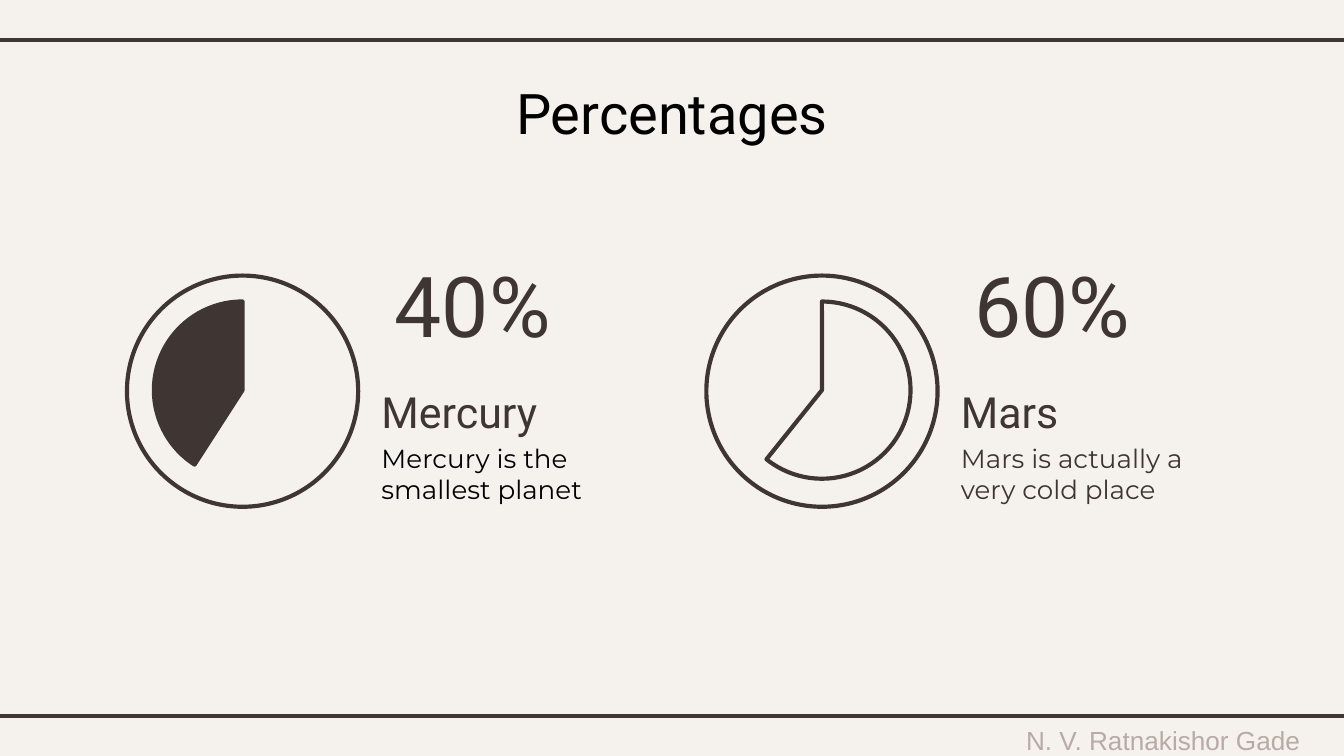
from pptx import Presentation
from pptx.dml.color import RGBColor
from pptx.enum.shapes import MSO_CONNECTOR, MSO_SHAPE
from pptx.enum.text import MSO_ANCHOR, MSO_AUTO_SIZE, PP_ALIGN
from pptx.oxml.ns import qn
from pptx.util import Cm, Pt
from lxml import etree

# Content
COLORS = {"paper": "F5F2EE", "ink": "3F3533", "black": "000000", "footer": "B8AAA7"}
TITLE = "Percentages"
FOOTER = "N. V. Ratnakishor Gade"
# Pie angles are in degrees, clockwise from the right
PLANETS = [
    {"name": "Mercury", "percent": "40%", "text": "Mercury is the smallest planet",
     "text_color": "black", "angles": (122.75, 270), "fill": "ink"},
    {"name": "Mars", "percent": "60%", "text": "Mars is actually a very cold place",
     "text_color": "ink", "angles": (270, 128.73), "fill": None},
]

# Layout in centimetres
WIDTH, HEIGHT = 25.4, 14.29
RULES = (0.76, 13.54)
FIRST_LEFT, PITCH = 2.4, 10.95
RING, PIE = 4.37, 3.35
RING_TOP, TEXT_OFFSET = 5.21, 4.81
INSET = 0.25
LINE_WIDTH = Pt(2.25)


def rgb(key):
    return RGBColor.from_string(COLORS[key])


def write(box, text, font, size, color, align=PP_ALIGN.LEFT,
          anchor=MSO_ANCHOR.MIDDLE, insets=(INSET,) * 4):
    frame = box.text_frame
    frame.text = text
    frame.word_wrap = True
    frame.auto_size = MSO_AUTO_SIZE.NONE
    frame.vertical_anchor = anchor
    (frame.margin_left, frame.margin_top,
     frame.margin_right, frame.margin_bottom) = map(Cm, insets)
    paragraph = frame.paragraphs[0]
    paragraph.alignment = align
    paragraph.font.name = font
    paragraph.font.size = Pt(size)
    paragraph.font.color.rgb = rgb(color)


def add_text(left, top, width, height, *args, **kwargs):
    box = slide.shapes.add_textbox(Cm(left), Cm(top), Cm(width), Cm(height))
    write(box, *args, **kwargs)


def add_round(kind, left, top, size, fill=None):
    round_shape = slide.shapes.add_shape(kind, Cm(left), Cm(top), Cm(size), Cm(size))
    round_shape.shadow.inherit = False
    round_shape.line.color.rgb = rgb("ink")
    round_shape.line.width = LINE_WIDTH
    if fill:
        round_shape.fill.solid()
        round_shape.fill.fore_color.rgb = rgb(fill)
    else:
        round_shape.fill.background()
    return round_shape


prs = Presentation()
prs.slide_width, prs.slide_height = Cm(WIDTH), Cm(HEIGHT)
slide = prs.slides.add_slide(prs.slide_layouts[5])
slide.background.fill.solid()
slide.background.fill.fore_color.rgb = rgb("paper")

# Footer and rules
add_text(18.57, 13.74, 6.83, 0.48, FOOTER, "Arial", 14, "footer",
         align=PP_ALIGN.CENTER)
for y in RULES:
    rule = slide.shapes.add_connector(
        MSO_CONNECTOR.STRAIGHT, Cm(-0.2), Cm(y), Cm(WIDTH + 0.2), Cm(y))
    rule.line.color.rgb = rgb("ink")
    rule.line.width = LINE_WIDTH
    etree.SubElement(rule._element.spPr, qn("a:effectLst"))

# Title
title = slide.shapes.title
title.left, title.top, title.width, title.height = Cm(1.98), Cm(1.24), Cm(21.44), Cm(1.6)
write(title, TITLE, "Roboto", 30, "black", PP_ALIGN.CENTER, MSO_ANCHOR.TOP)

# Planets: ring, pie and texts
for index, planet in enumerate(PLANETS):
    left = FIRST_LEFT + index * PITCH
    text_left = left + TEXT_OFFSET
    margin = (RING - PIE) / 2
    add_round(MSO_SHAPE.OVAL, left, RING_TOP, RING)
    pie = add_round(MSO_SHAPE.PIE, left + margin, RING_TOP + margin - 0.02, PIE,
                    planet["fill"])
    for position, angle in enumerate(planet["angles"]):
        pie.adjustments[position] = angle * 0.6  # 60000ths of a degree / 100000

    add_text(text_left, 4.57, 4.01, 2.36, planet["percent"], "Roboto", 45, "ink")
    label_insets = (0, 0, INSET, INSET)
    add_text(text_left, 7.42, 4.88, 0.97, planet["name"], "Roboto", 23, "ink",
             insets=label_insets)
    add_text(text_left, 8.43, 4.88, 1.3, planet["text"], "Montserrat", 14,
             planet["text_color"], insets=label_insets)

prs.save("out.pptx")
